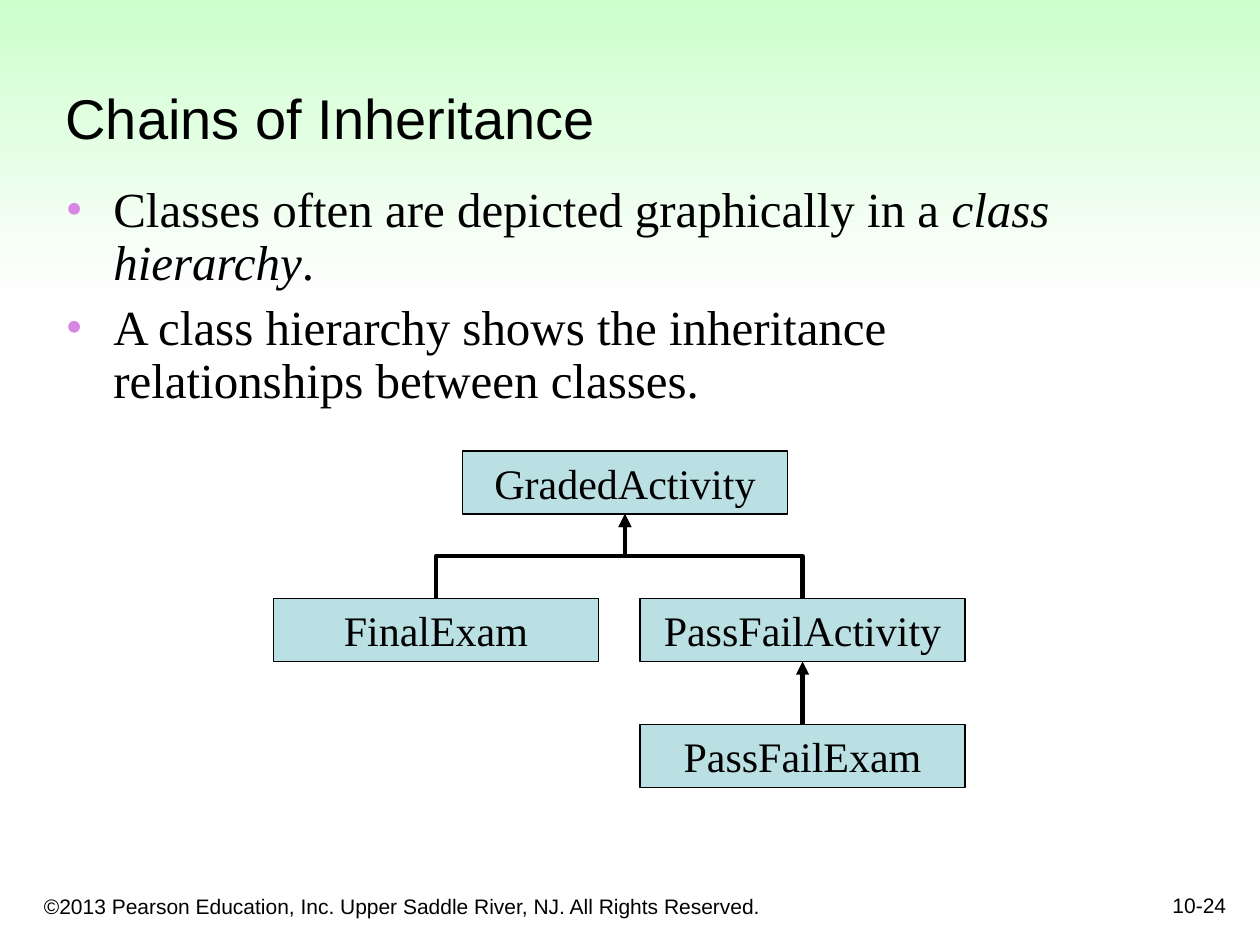
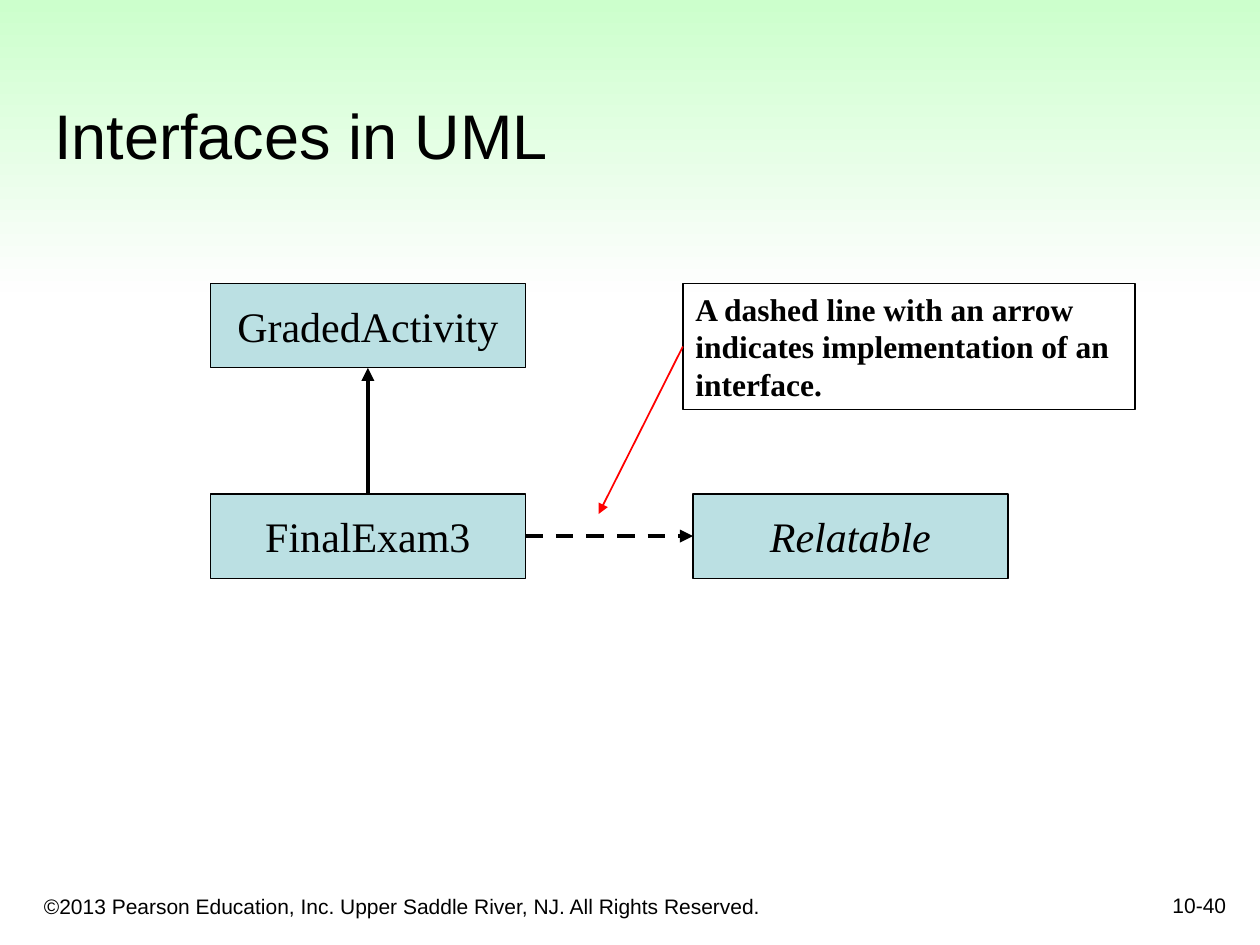
from lxml import etree
from pptx import Presentation
from pptx.dml.color import RGBColor
from pptx.enum.dml import MSO_LINE_DASH_STYLE as Dash
from pptx.enum.shapes import MSO_CONNECTOR as Connector, MSO_SHAPE as Shape
from pptx.enum.text import MSO_ANCHOR as Anchor, MSO_AUTO_SIZE as AutoSize, PP_ALIGN as Align
from pptx.oxml.ns import qn
from pptx.util import Inches, Pt

BLACK = RGBColor(0x00, 0x00, 0x00)
RED = RGBColor(0xFF, 0x00, 0x00)
BOX_BLUE = RGBColor(0xBB, 0xE0, 0xE3)
BULLET_PINK = RGBColor(0xD8, 0x85, 0xE3)
BAND_COLORS = [RGBColor(0xCC, 0xFF, 0xCC), RGBColor(0xFE, 0xFE, 0xFE)]
SANS, SERIF = "Arial", "Times New Roman"

COPYRIGHT = "©2013 Pearson Education, Inc. Upper Saddle River, NJ. All Rights Reserved."
BULLETS = [
    [("Classes often are depicted graphically in a ", False), ("class hierarchy", True), (".", False)],
    [("A class hierarchy shows the inheritance relationships between classes.", False)],
]
HIERARCHY_SIZE = (2.58, 0.5)
HIERARCHY = {
    "GradedActivity": (3.67, 3.58),
    "FinalExam": (2.17, 4.75),
    "PassFailActivity": (5.08, 4.75),
    "PassFailExam": (5.08, 5.75),
}
UML_SIZE = (2.5, 0.67)
UML = {
    "GradedActivity": (1.67, 2.25),
    "FinalExam3": (1.67, 3.92),
    "Relatable": (5.5, 3.92),
}
NOTE = "A dashed line with an arrow indicates implementation of an interface."
TOP, LEFT, BOTTOM, RIGHT = range(4)


def place(shape, left, top, width, height):
    shape.left, shape.top = Inches(left), Inches(top)
    shape.width, shape.height = Inches(width), Inches(height)


def style(paragraph, name, size, align=Align.LEFT, bold=False, italic=False):
    paragraph.alignment = align
    font = paragraph.font
    font.name, font.size = name, Pt(size)
    font.bold, font.italic = bold, italic
    font.color.rgb = BLACK


def add_band(slide):
    band = slide.shapes.add_shape(Shape.RECTANGLE, 0, 0, Inches(10), Inches(2.32))
    band.shadow.inherit = False
    band.line.fill.background()
    band.fill.gradient()
    band.fill.gradient_angle = 270
    for stop, color, position in zip(band.fill.gradient_stops, BAND_COLORS, (0, 1)):
        stop.color.rgb = color
        stop.position = position
    slide.shapes._spTree.insert(2, band._element)


def add_footer(slide, text, area, align):
    footer = slide.shapes.add_textbox(*map(Inches, area))
    frame = footer.text_frame
    frame.word_wrap = True
    frame.vertical_anchor = Anchor.BOTTOM
    frame.text = text
    style(frame.paragraphs[0], SANS, 12, align)


def add_slide(presentation, layout, title_text, title_area, title_size, number):
    slide = presentation.slides.add_slide(presentation.slide_layouts[layout])
    add_band(slide)
    add_footer(slide, COPYRIGHT, (0.25, 6.92, 6.08, 0.42), Align.LEFT)
    add_footer(slide, number, (7.75, 6.83, 2.08, 0.5), Align.RIGHT)
    title = slide.shapes.title
    place(title, *title_area)
    frame = title.text_frame
    frame.auto_size = AutoSize.NONE
    frame.vertical_anchor = Anchor.BOTTOM
    frame.text = title_text
    style(frame.paragraphs[0], SANS, title_size)
    return slide


def add_bullet(paragraph):
    properties = paragraph._p.get_or_add_pPr()
    properties.set("marL", str(Inches(0.38)))
    properties.set("indent", str(Inches(-0.38)))
    color = etree.SubElement(properties, qn("a:buClr"))
    etree.SubElement(color, qn("a:srgbClr"), val=str(BULLET_PINK))
    etree.SubElement(properties, qn("a:buFont"), typeface=SERIF)
    etree.SubElement(properties, qn("a:buChar"), char="•")


def fill_body(body, bullets):
    place(body, 0.42, 1.42, 8.5, 2)
    frame = body.text_frame
    frame.auto_size = AutoSize.NONE
    frame.margin_right = 0
    for index, runs in enumerate(bullets):
        paragraph = frame.add_paragraph() if index else frame.paragraphs[0]
        add_bullet(paragraph)
        paragraph.line_spacing = 0.9
        paragraph.space_before = Pt(7 if index else 0)
        style(paragraph, SERIF, 28)
        for text, italic in runs:
            run = paragraph.add_run()
            run.text = text
            if italic:
                run.font.italic = True


def add_box(slide, text, area, line_width=0.75):
    box = slide.shapes.add_shape(Shape.RECTANGLE, *map(Inches, area))
    box.shadow.inherit = False
    box.line.color.rgb = BLACK
    box.line.width = Pt(line_width)
    box.text_frame.text = text
    return box


def add_class_boxes(slide, classes, size, interfaces=()):
    boxes = {}
    for name, position in classes.items():
        box = add_box(slide, name, (*position, *size))
        box.fill.solid()
        box.fill.fore_color.rgb = BOX_BLUE
        box.text_frame.word_wrap = False
        box.text_frame.vertical_anchor = Anchor.MIDDLE
        style(box.text_frame.paragraphs[0], SERIF, 24, Align.CENTER, italic=name in interfaces)
        boxes[name] = box
    return boxes


def add_note(slide, text, area):
    note = add_box(slide, text, area, 1)
    note.fill.background()
    note.text_frame.word_wrap = True
    note.text_frame.vertical_anchor = Anchor.TOP
    style(note.text_frame.paragraphs[0], SERIF, 18, bold=True)
    return note


def add_arrow(slide, kind, begin, end, color=BLACK, width=2.5):
    arrow = slide.shapes.add_connector(kind, *map(int, (*begin, *end)))
    arrow.line.color.rgb = color
    arrow.line.width = Pt(width)
    etree.SubElement(arrow.line._get_or_add_ln(), qn("a:tailEnd"), type="triangle")
    etree.SubElement(arrow._element.spPr, qn("a:effectLst"))
    return arrow


def join(slide, source, source_side, target, target_side):
    arrow = add_arrow(slide, Connector.STRAIGHT, (0, 0), (0, 0))
    arrow.begin_connect(source, source_side)
    arrow.end_connect(target, target_side)
    return arrow


def add_elbow_up(slide, child, parent):
    start_x = child.left + child.width / 2
    end_x = parent.left + parent.width / 2
    end_y = parent.top + parent.height
    middle_x, middle_y = (start_x + end_x) / 2, (child.top + end_y) / 2
    half_run, half_rise = (end_x - start_x) / 2, (child.top - end_y) / 2
    arrow = add_arrow(
        slide,
        Connector.ELBOW,
        (middle_x - half_rise, middle_y - half_run),
        (middle_x + half_rise, middle_y + half_run),
    )
    arrow._element.spPr.find(qn("a:xfrm")).set("rot", str(270 * 60000))


def build_inheritance(presentation):
    slide = add_slide(presentation, 1, "Chains of Inheritance", (0.42, 0, 9.08, 1.25), 32, "10-24")
    fill_body(slide.placeholders[1], BULLETS)
    boxes = add_class_boxes(slide, HIERARCHY, HIERARCHY_SIZE)
    for child in ("FinalExam", "PassFailActivity"):
        add_elbow_up(slide, boxes[child], boxes["GradedActivity"])
    join(slide, boxes["PassFailExam"], TOP, boxes["PassFailActivity"], BOTTOM)


def build_interfaces(presentation):
    slide = add_slide(presentation, 5, "Interfaces in UML", (0.33, 0.33, 9.42, 1.09), 36, "10-40")
    boxes = add_class_boxes(slide, UML, UML_SIZE, interfaces=("Relatable",))
    join(slide, boxes["FinalExam3"], TOP, boxes["GradedActivity"], BOTTOM)
    implementation = join(slide, boxes["FinalExam3"], RIGHT, boxes["Relatable"], LEFT)
    implementation.line.dash_style = Dash.DASH
    note = add_note(slide, NOTE, (5.42, 2.25, 3.59, 1))
    pointer = add_arrow(
        slide,
        Connector.STRAIGHT,
        (Inches(5.42), Inches(2.75)),
        (Inches(4.75), Inches(4.08)),
        RED,
        1,
    )
    pointer.begin_connect(note, LEFT)


def main():
    presentation = Presentation()
    presentation.slide_width, presentation.slide_height = Inches(10), Inches(7.5)
    build_inheritance(presentation)
    build_interfaces(presentation)
    presentation.save("out.pptx")


if __name__ == "__main__":
    main()
